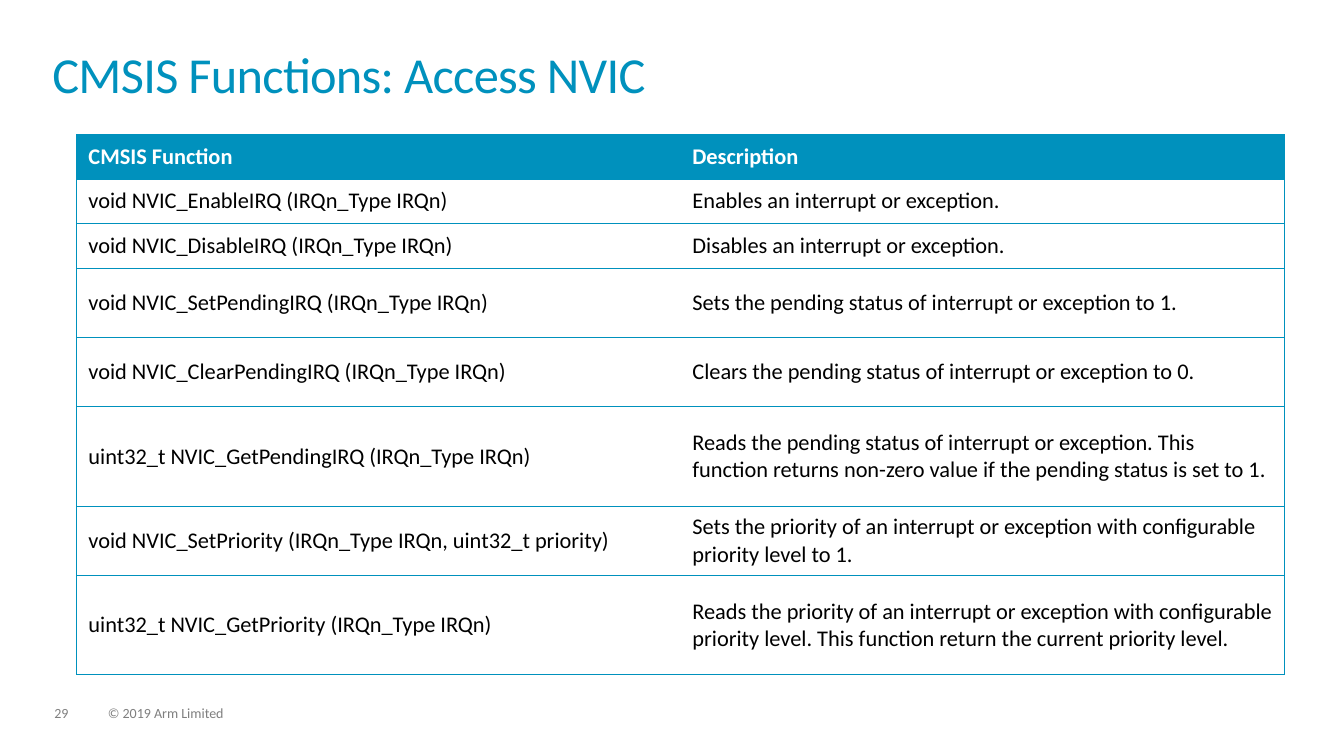
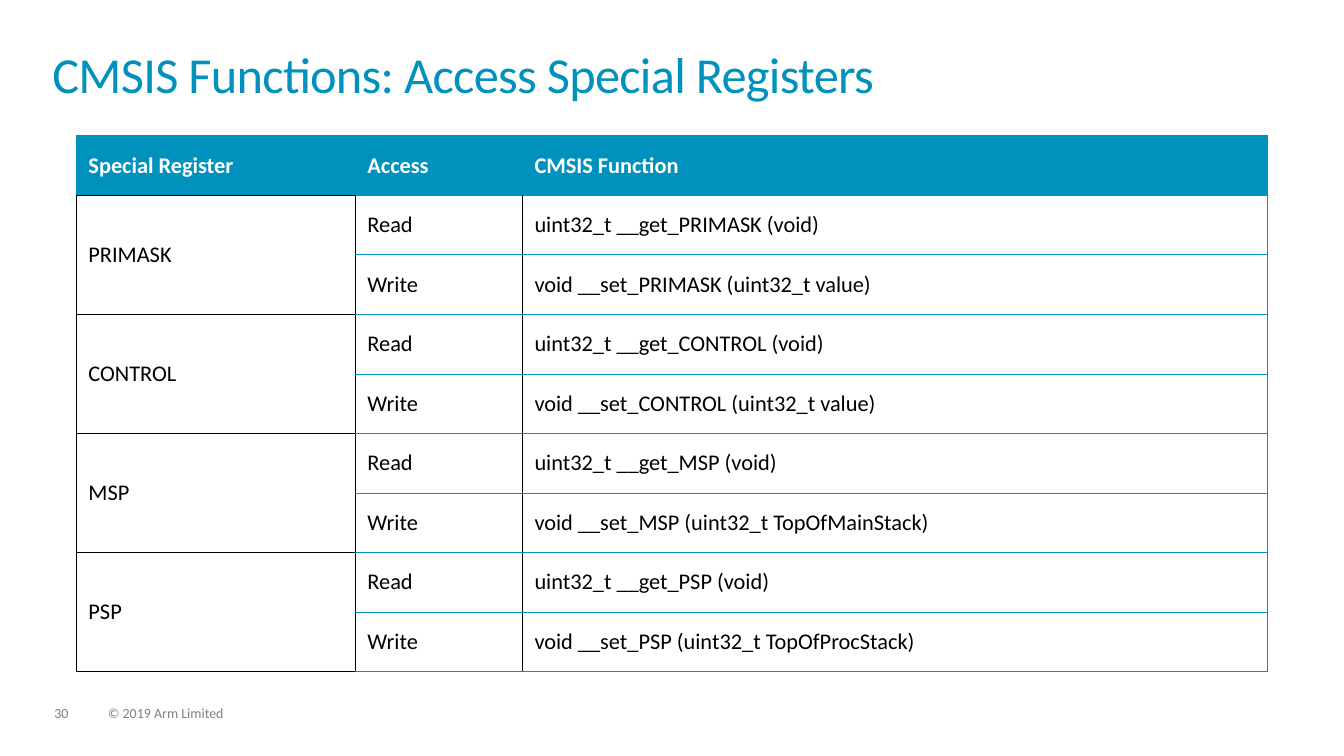
from pptx import Presentation
from pptx.dml.color import RGBColor
from pptx.enum.text import MSO_ANCHOR
from pptx.oxml.ns import qn
from pptx.util import Cm, Pt
from lxml.etree import SubElement

TEAL = RGBColor(0x00, 0x91, 0xBD)
GRAY = RGBColor(0x7F, 0x7F, 0x7F)
BLACK = RGBColor(0x00, 0x00, 0x00)
WHITE = RGBColor(0xFF, 0xFF, 0xFF)
FONT = "Calibri"
TABLE_LEFT = 1.93
THIN, MEDIUM = (TEAL, 0.5), (BLACK, 1)

NVIC_ROWS = [
    ("CMSIS Function", "Description"),
    ("void NVIC_EnableIRQ (IRQn_Type IRQn)", "Enables an interrupt or exception."),
    ("void NVIC_DisableIRQ (IRQn_Type IRQn)", "Disables an interrupt or exception."),
    ("void NVIC_SetPendingIRQ (IRQn_Type IRQn)",
     "Sets the pending status of interrupt or exception to 1."),
    ("void NVIC_ClearPendingIRQ (IRQn_Type IRQn)",
     "Clears the pending status of interrupt or exception to 0."),
    ("uint32_t NVIC_GetPendingIRQ (IRQn_Type IRQn)",
     "Reads the pending status of interrupt or exception. This function "
     "returns non-zero value if the pending status is set to 1."),
    ("void NVIC_SetPriority (IRQn_Type IRQn, uint32_t priority)",
     "Sets the priority of an interrupt or exception with configurable "
     "priority level to 1."),
    ("uint32_t NVIC_GetPriority (IRQn_Type IRQn)",
     "Reads the priority of an interrupt or exception with configurable "
     "priority level. This function return the current priority level."),
]
NVIC_HEIGHTS = [1.12, 1.12, 1.12, 1.75, 1.75, 2.5, 1.75, 2.5]

REGISTERS = [("PRIMASK", "value"), ("CONTROL", "value"),
             ("MSP", "TopOfMainStack"), ("PSP", "TopOfProcStack")]


def register_rows():
    rows = [("Special Register", "Access", "CMSIS Function")]
    for name, argument in REGISTERS:
        rows.append((name, "Read", f"uint32_t __get_{name} (void)"))
        rows.append(("", "Write", f"void __set_{name} (uint32_t {argument})"))
    return rows


def cell_edges(row, col, last_col, grouped):
    """Return the left, right, top and bottom line of a cell; None is no line."""
    body = grouped and row > 0
    inner = MEDIUM if body else None
    group_col = grouped and col == 0
    left = THIN if col == 0 and not body else inner
    right = THIN if col == last_col else inner
    top = MEDIUM if group_col and body else THIN
    bottom = MEDIUM if group_col else THIN
    return left, right, top, bottom


def draw_edges(cell, edges):
    """Add the lines to a cell; must run before the cell is filled."""
    tc_pr = cell._tc.get_or_add_tcPr()
    for tag, edge in zip(("a:lnL", "a:lnR", "a:lnT", "a:lnB"), edges):
        ln = SubElement(tc_pr, qn(tag))
        if edge is None:
            SubElement(ln, qn("a:noFill"))
            continue
        color, width = edge
        ln.set("w", str(Pt(width)))
        fill = SubElement(ln, qn("a:solidFill"))
        SubElement(fill, qn("a:srgbClr")).set("val", str(color))


class Deck:
    def __init__(self):
        self.prs = Presentation()
        self.prs.slide_width, self.prs.slide_height = Cm(33.87), Cm(19.05)
        self.s = None

    def add_slide(self, title, number):
        self.s = self.prs.slides.add_slide(self.prs.slide_layouts[6])
        self.footer(1.37, 0.86, str(number))
        self.footer(2.72, 12.88, "© 2019 Arm Limited")
        p = self.text(1.32, 1.32, 31.19, 1.83, title, 36, TEAL)
        p.line_spacing = 0.85
        p.runs[0].font._element.set("spc", "-50")

    def run(self, p, text, size, color, bold=False):
        r = p.add_run()
        r.text = text
        r.font.name, r.font.size, r.font.bold = FONT, Pt(size), bold
        r.font.color.rgb = color

    def text(self, left, top, width, height, text, size, color):
        box = self.s.shapes.add_textbox(Cm(left), Cm(top), Cm(width), Cm(height))
        tf = box.text_frame
        tf.word_wrap = True
        tf.margin_left = tf.margin_right = tf.margin_top = tf.margin_bottom = 0
        p = tf.paragraphs[0]
        self.run(p, text, size, color)
        return p

    def footer(self, left, width, text):
        p = self.text(left, 17.8, width, 0.38, text, 10, GRAY)
        p.line_spacing = 0.9

    def table(self, top, widths, heights, rows, grouped=False):
        """Draw a table; when grouped, an empty first cell joins the one above."""
        frame = self.s.shapes.add_table(
            len(rows), len(widths), Cm(TABLE_LEFT), Cm(top),
            Cm(sum(widths)), Cm(sum(heights)))
        table = frame.table
        table.horz_banding = False
        for column, width in zip(table.columns, widths):
            column.width = Cm(width)
        for i, (values, height) in enumerate(zip(rows, heights)):
            table.rows[i].height = Cm(height)
            for j, value in enumerate(values):
                cell = table.cell(i, j)
                draw_edges(cell, cell_edges(i, j, len(widths) - 1, grouped))
                self.fill_cell(cell, value, header=i == 0)
            if not values[0]:
                table.cell(i - 1, 0).merge(table.cell(i, 0))

    def fill_cell(self, cell, value, header):
        cell.fill.solid()
        cell.fill.fore_color.rgb = TEAL if header else WHITE
        cell.vertical_anchor = MSO_ANCHOR.MIDDLE
        cell.margin_left = cell.margin_right = Cm(0.3)
        cell.margin_top = cell.margin_bottom = Cm(0.13)
        if value:
            color = WHITE if header else BLACK
            self.run(cell.text_frame.paragraphs[0], value, 16, color, header)


def main():
    deck = Deck()
    deck.add_slide("CMSIS Functions: Access NVIC", 29)
    deck.table(3.39, [15.22, 15.22], NVIC_HEIGHTS, NVIC_ROWS)

    deck.add_slide("CMSIS Functions: Access Special Registers", 30)
    rows = register_rows()
    deck.table(3.42, [7.03, 4.21, 18.76], [1.5] * len(rows), rows, grouped=True)
    deck.prs.save("out.pptx")


if __name__ == "__main__":
    main()
